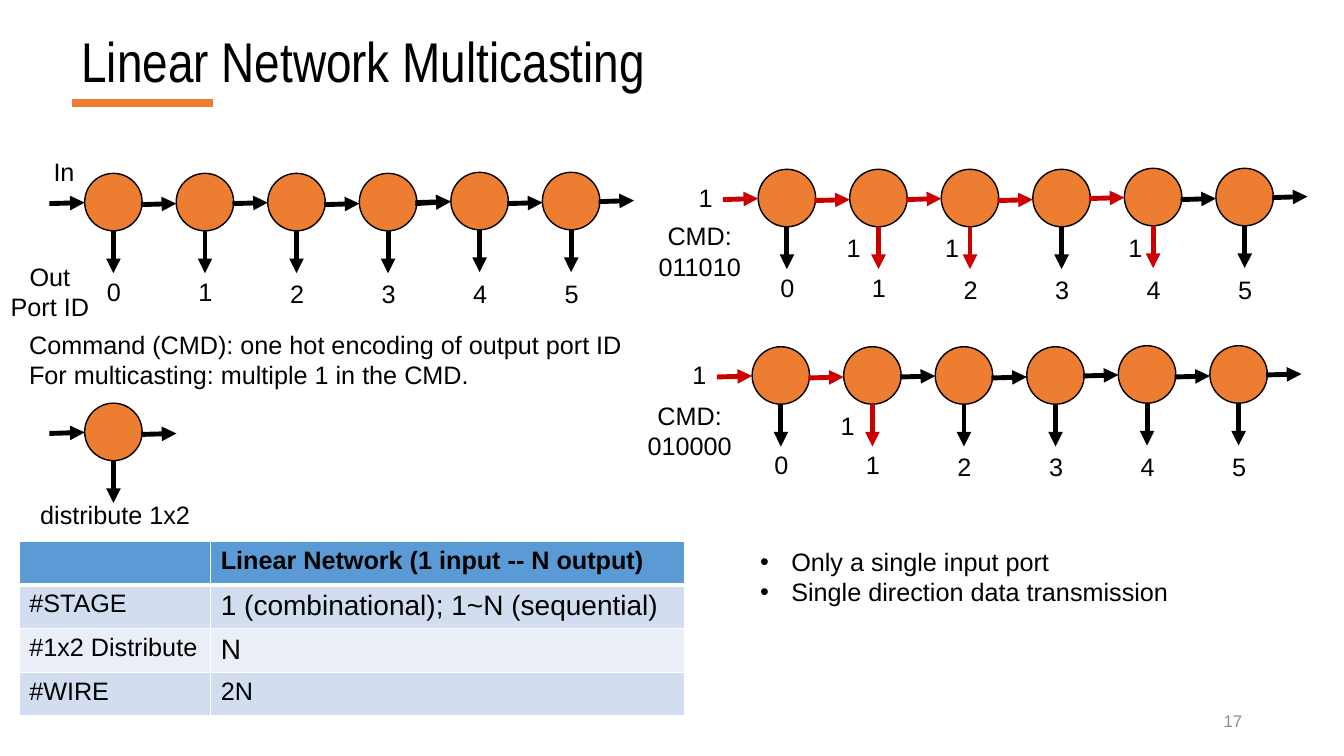
from dataclasses import dataclass

from lxml.etree import SubElement as Sub
from pptx import Presentation
from pptx.dml.color import RGBColor as Rgb
from pptx.enum.shapes import MSO_CONNECTOR as Con, MSO_SHAPE as Geo
from pptx.enum.text import MSO_ANCHOR as Anchor, MSO_AUTO_SIZE as Auto, PP_ALIGN as Align
from pptx.oxml import parse_xml
from pptx.oxml.ns import nsdecls, qn
from pptx.util import Inches, Pt

INK = {
    "black": "000000", "white": "FFFFFF", "grey": "8C8C8C", "red": "CC0000",
    "orange": "ED7D31", "head": "5B9BD5", "dark": "D2DEEF", "light": "EAEFF7",
}
SIZE = 0.57   # node diameter
STEP = 0.908  # distance between nodes
REACH = 0.35  # length of a level arrow
PORTS = 6


@dataclass
class Note:
    text: str
    x: float
    y: float
    w: float
    h: float = 0.4
    align: Align = Align.LEFT
    wrap: bool = False
    bullet: bool = False
    size: float = 18
    font: str = "Arial"
    ink: str = "black"
    fit: bool = True
    space: float = 1.0


@dataclass
class Chain:
    x: float
    y: float
    cmd: str = ""  # one bit per output port


deck = Presentation()
deck.slide_width, deck.slide_height = Inches(13.33), Inches(7.5)
slide = deck.slides.add_slide(deck.slide_layouts[6])
shapes = slide.shapes


def color(name: str) -> Rgb:
    return Rgb.from_string(INK[name])


def style(run, size: float, ink: str = "black", font: str = "Arial", bold: bool = False) -> None:
    run.font.size, run.font.name, run.font.bold = Pt(size), font, bold
    run.font.color.rgb = color(ink)


def write(note: Note) -> None:
    box = shapes.add_textbox(*map(Inches, (note.x, note.y, note.w, note.h)))
    frame = box.text_frame
    frame.text = note.text
    frame.word_wrap = note.wrap
    if note.fit:
        frame.auto_size = Auto.SHAPE_TO_FIT_TEXT
    else:
        frame.vertical_anchor = Anchor.MIDDLE
    for para in frame.paragraphs:
        para.alignment = note.align
        para.line_spacing = note.space
        for run in para.runs:
            style(run, note.size, note.ink, note.font)
        if note.bullet:
            props = para._p.get_or_add_pPr()
            props.set("marL", str(Inches(0.31)))
            props.set("indent", str(-Inches(0.31)))
            Sub(props, qn("a:buFont"), typeface="Arial")
            Sub(props, qn("a:buChar"), char="•")


def link(x1: float, y1: float, x2: float, y2: float, ink: str = "black",
         width: float = 3.5, head: bool = True) -> None:
    line = shapes.add_connector(Con.STRAIGHT, *map(Inches, (x1, y1, x2, y2)))
    line.line.color.rgb = color(ink)
    line.line.width = Pt(width)
    if head:
        Sub(line.line._get_or_add_ln(), qn("a:tailEnd"), type="triangle")
    Sub(line._element.spPr, qn("a:effectLst"))


def level(x: float, y: float, ink: str = "black") -> None:
    link(x, y, x + REACH, y - 0.01, ink)


def node(x: float, y: float, lead: str = "black", drop: str = "black", dip: float = 0) -> None:
    disc = shapes.add_shape(Geo.OVAL, *map(Inches, (x, y, SIZE, SIZE)))
    disc.shadow.inherit = False
    disc.fill.solid()
    disc.fill.fore_color.rgb = color("orange")
    disc.line.color.rgb = color("black")
    disc.line.width = Pt(1)
    level(x - REACH, y + 0.3 + dip, lead)
    mid = x + SIZE / 2
    link(mid, y + SIZE, mid, y + SIZE + 0.42, drop)


def draw(chain: Chain) -> None:
    last = chain.cmd.rfind("1")
    for i in range(PORTS):
        x = chain.x + i * STEP
        y = chain.y - (0.01 if i > 3 else 0)
        hit = chain.cmd[i:i + 1] == "1"
        node(x, y, "red" if i <= last else "black", "red" if hit else "black", 0.01 * (i % 2))
        write(Note(str(i), x + 0.12, chain.y + (0.97 if i < 2 else 0.99), 0.34, align=Align.CENTER))
        if hit:
            write(Note("1", x - (0.13 if i == 1 else 0.06), chain.y + 0.58, 0.34))
    level(chain.x + PORTS * STEP - REACH, chain.y + 0.28)
    if chain.cmd:
        write(Note("1", chain.x - 0.69, chain.y + 0.08, 0.34))


def edge(cell, side: str, width: float) -> None:
    props = cell._tc.get_or_add_tcPr()
    line = parse_xml(
        f'<a:{side} {nsdecls("a")} w="{Pt(width)}"><a:solidFill>'
        f'<a:srgbClr val="{INK["white"]}"/></a:solidFill></a:{side}>')
    props.insert(0, line)


# Title and page number
link(0.71, 1.02, 2.11, 1.02, "orange", 5.75, False)
write(Note("Linear Network Multicasting", 0.71, 0.26, 11.5, 0.76, wrap=True, size=40,
           font="Arial Narrow", fit=False, space=0.9))
write(Note("17", 9.42, 6.95, 3, align=Align.RIGHT, wrap=True, size=12, ink="grey", fit=False))

# Single distribute node
node(0.84, 4)
level(1.4, 4.31)

# Linear networks
for chain in (Chain(0.84, 1.72), Chain(7.52, 1.68, "011010"), Chain(7.46, 3.44, "010000")):
    draw(chain)
link(4.12, 2.02, 4.47, 2)

# Labels and remarks
for note in (
    Note("distribute 1x2", 0.3, 4.9, 1.69),
    Note("In", 0.43, 1.5, 0.41, align=Align.CENTER),
    Note("Out\nPort ID", -0.02, 2.54, 1.03, 0.71, Align.CENTER, True),
    Note("CMD:\n011010", 6.32, 2.14, 1.24, 0.71, Align.CENTER, True),
    Note("CMD:\n010000", 6.22, 3.92, 1.24, 0.71, Align.CENTER, True),
    Note("Command (CMD): one hot encoding of output port ID\n"
         "For multicasting: multiple 1 in the CMD.", 0.19, 3.22, 6.19, 0.71, wrap=True),
    Note("Only a single input port\nSingle direction data transmission",
         7.44, 5.37, 4.25, 0.71, bullet=True),
):
    write(note)

# Cost table
ROWS = (
    ("", "Linear Network (1 input -- N output)", 18, "head"),
    ("#STAGE", "1 (combinational); 1~N (sequential)", 20, "dark"),
    ("#1x2 Distribute", "N", 20, "light"),
    ("#WIRE", "2N", 18, "dark"),
)
table = shapes.add_table(len(ROWS), 2, *map(Inches, (0.19, 5.37, 6.6, 1.73))).table
for col, width in zip(table.columns, (1.9, 4.7)):
    col.width = Inches(width)
for r, (name, value, size, fill) in enumerate(ROWS):
    for c, (text, pts) in enumerate(((name, 18), (value, size))):
        cell = table.cell(r, c)
        cell.text = text
        for run in cell.text_frame.paragraphs[0].runs:
            style(run, pts, bold=r == 0)
        cell.fill.solid()
        cell.fill.fore_color.rgb = color(fill)
        for side in ("lnB", "lnT", "lnR", "lnL"):
            thick = (r, side) in ((0, "lnB"), (1, "lnT"))
            edge(cell, side, 3 if thick else 1)

deck.save("out.pptx")
